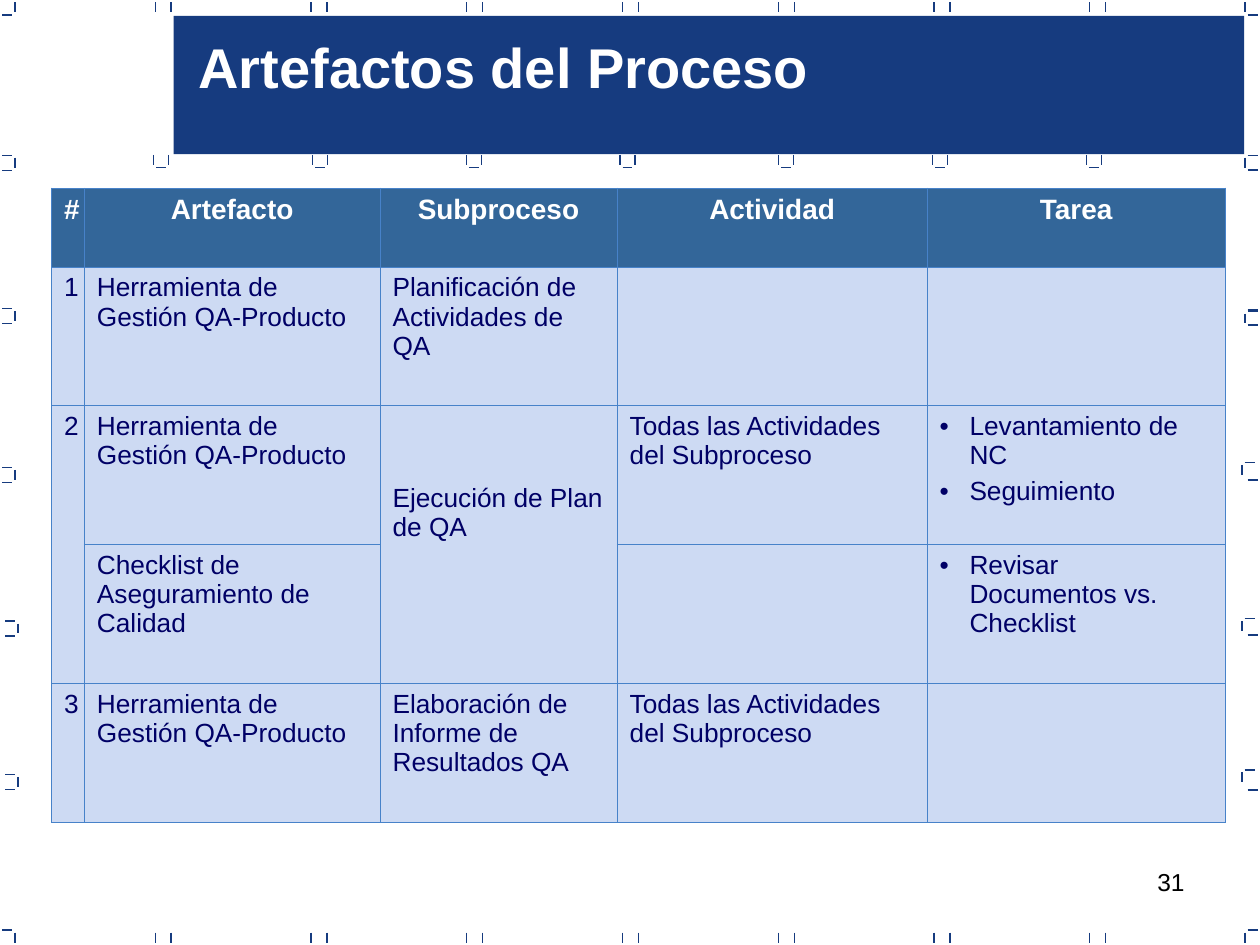
from pptx import Presentation, util as u
from pptx.dml.color import RGBColor
from pptx.enum import shapes, text
from pptx.oxml import parse_xml
from pptx.oxml.ns import nsdecls
from lxml import etree

NAVY = RGBColor(0x16, 0x3B, 0x7F)
STEEL = RGBColor(0x33, 0x66, 0x99)
PALE = RGBColor(0xCD, 0xDA, 0xF3)
INK = RGBColor(0x00, 0x00, 0x66)
EDGE = RGBColor(0x47, 0x82, 0xC9)
WHITE = RGBColor(0xFF, 0xFF, 0xFF)
BLACK = RGBColor(0x00, 0x00, 0x00)

TITLE = "Artefactos del Proceso"
PAGE = "31"
HEADS = ["#", "Artefacto", "Subproceso", "Actividad", "Tarea"]
TOOL = "Herramienta de Gestión QA-Producto"
ALL = "Todas las Actividades del Subproceso"
ROWS = [  # a list in a cell is a bulleted list
    ["1", TOOL, "Planificación de Actividades de QA", "", ""],
    ["2", TOOL, "Ejecución de Plan de QA", ALL, ["Levantamiento de NC", "Seguimiento"]],
    ["", "Checklist de Aseguramiento de Calidad", "", "", ["Revisar Documentos vs. Checklist"]],
    ["3", TOOL, "Elaboración de Informe de Resultados QA", ALL, ""],
]
MERGED = [0, 2]  # columns where rows 2 and 3 are one cell
WIDTHS = [0.66, 5.96, 4.78, 6.25, 6.01]
HIGH = [1.59] + [2.8] * 4

# Frame ticks, in cm
TICK, GAP = 0.2, 0.05
TOP, BASE = 0.05, 18.8
PAIRS = [3.13 + 3.14 * i for i in range(7)]
CUPS = [3.1, 6.3, 9.4, 12.5, 15.7, 18.8, 21.9]
LEFT = [(0.3, TOP), (0.3, 3.18), (0.3, 6.27), (0.3, 9.47),
        (0.36, 12.57), (0.36, 15.67), (0.3, BASE)]
RIGHT = [(25.1, TOP), (25.1, 3.18), (25.1, 6.32), (25.04, 9.37),
         (25.04, 12.52), (25.04, 15.57), (25.1, BASE)]

HEAD = dict(size=u.Pt(16), bold=True, color=WHITE)
BODY = dict(size=u.Pt(15), bold=False, color=INK)

deck = Presentation()
deck.slide_width, deck.slide_height = u.Cm(25.4), u.Cm(19.05)
slide = deck.slides.add_slide(deck.slide_layouts[6])


def tick(x, y, dx=0, dy=0):
    line = slide.shapes.add_connector(
        shapes.MSO_CONNECTOR.STRAIGHT, *map(u.Cm, (x, y, x + dx, y + dy)))
    line.line.color.rgb = NAVY
    line.line.width = u.Pt(0.75)
    etree.SubElement(line._element.spPr, "{http://schemas.openxmlformats.org/drawingml/2006/main}effectLst")


def post(x, y):
    tick(x, y, dy=TICK)


def dash(x, y):
    tick(x, y, dx=TICK)


def style(para, form):
    font = para.font
    font.name = "Arial"
    for key, val in form.items():
        if key == "color":
            font.color.rgb = val
        else:
            setattr(font, key, val)


def label(box, words, form, align):
    frame = slide.shapes.add_textbox(*map(u.Cm, box)).text_frame
    frame.word_wrap = True
    para = frame.paragraphs[0]
    para.text, para.alignment = words, align
    style(para, form)


def bullet(para):
    props = para._p.get_or_add_pPr()
    props.set("marL", str(u.Cm(0.6)))
    props.set("indent", str(-u.Cm(0.6)))
    for tag in (f'<a:buClr {nsdecls("a")}><a:srgbClr val="{INK}"/></a:buClr>',
                f'<a:buFont {nsdecls("a")} typeface="Arial"/>',
                f'<a:buChar {nsdecls("a")} char="•"/>'):
        props.append(parse_xml(tag))


def dress(cell, fill):
    """Give the cell its borders and fill."""
    props = cell._tc.get_or_add_tcPr()
    for side in "LRTB":
        props.append(parse_xml(
            f'<a:ln{side} {nsdecls("a")} w="{u.Pt(0.45)}"><a:solidFill>'
            f'<a:srgbClr val="{EDGE}"/></a:solidFill></a:ln{side}>'))
    cell.fill.solid()
    cell.fill.fore_color.rgb = fill


def write(cell, item, form, align):
    frame = cell.text_frame
    listed = isinstance(item, list)
    for i, words in enumerate(item if listed else [item]):
        para = frame.add_paragraph() if i else frame.paragraphs[0]
        para.text, para.alignment = words, align
        if i:
            para.space_before = u.Pt(3.7)
        if listed:
            bullet(para)
        style(para, form)


# Page number and frame
label((18.21, 17.35, 5.92, 1.32), PAGE, dict(size=u.Pt(14), color=BLACK),
      text.PP_ALIGN.RIGHT)
for x in PAIRS:
    for y in (TOP, BASE):
        post(x, y)
        post(x + 0.32, y)
for side, shift in ((LEFT, -TICK - GAP), (RIGHT, GAP)):
    for x, y in side:
        post(x, y)
        if y != TOP:
            dash(x + shift, y - GAP)
        if side is LEFT and y != BASE:
            dash(x + shift, y + TICK + GAP)
for i in range(6):
    dash(25.15, 0.3 + 3.125 * i)
dash(25.15, 6.25)
for x in CUPS:
    post(x, 3.12)
    post(x + 0.3, 3.12)
    dash(x + GAP, 3.38)

# Title band
band = slide.shapes.add_shape(shapes.MSO_SHAPE.RECTANGLE, *map(u.Cm, (3.5, 0.32, 21.58, 2.79)))
band.shadow.inherit = False
band.fill.solid()
band.fill.fore_color.rgb = NAVY
band.line.fill.background()
label((3.75, 0.53, 13.5, 1.63), TITLE, dict(size=u.Pt(32), bold=True, color=WHITE),
      text.PP_ALIGN.LEFT)

# Table of artefacts
grid = slide.shapes.add_table(
    len(HIGH), len(WIDTHS), *map(u.Cm, (1.04, 3.79, sum(WIDTHS), sum(HIGH)))).table
grid.first_row = grid.horz_banding = False
for col, wide in zip(grid.columns, WIDTHS):
    col.width = u.Cm(wide)
for row, tall in zip(grid.rows, HIGH):
    row.height = u.Cm(tall)
for r, items in enumerate([HEADS] + ROWS):
    for c, item in enumerate(items):
        cell = grid.cell(r, c)
        mid = r == 0 or c == 0
        dress(cell, PALE if r else STEEL)
        write(cell, item, BODY if r else HEAD,
              text.PP_ALIGN.CENTER if mid else text.PP_ALIGN.LEFT)
for c in MERGED:
    grid.cell(2, c).merge(grid.cell(3, c))
grid.cell(2, 2).margin_top = u.Cm(1.58)

deck.save("out.pptx")
